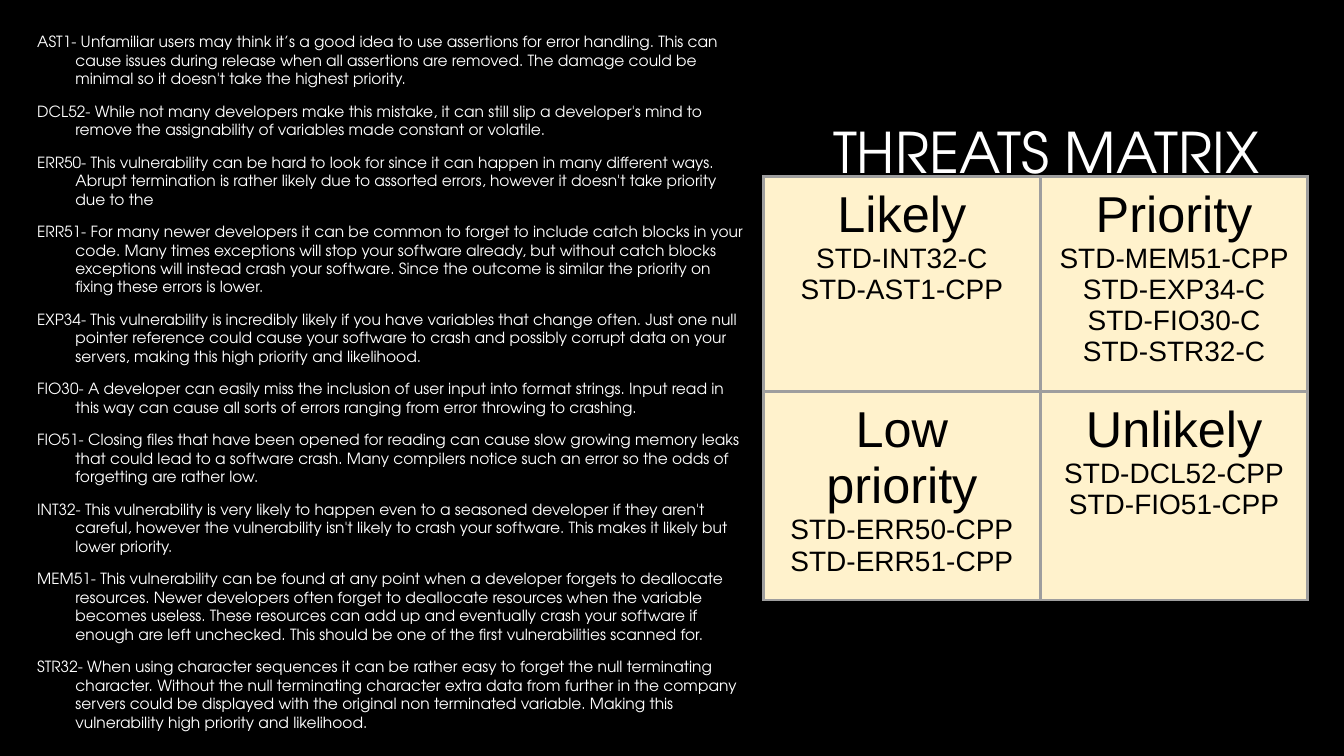
import pptx
import pptx.dml.color
import pptx.enum.text
import pptx.oxml
import pptx.oxml.ns
import pptx.util
from dataclasses import dataclass

Inches = pptx.util.Inches
Pt = pptx.util.Pt
RGB = pptx.dml.color.RGBColor.from_string
ALIGN = pptx.enum.text.PP_ALIGN
ANCHOR = pptx.enum.text.MSO_ANCHOR


@dataclass(frozen=True)
class Theme:
    background: str = "000000"
    light: str = "FFFFFF"
    dark: str = "000000"
    cell: str = "FFF2CC"
    border: str = "9E9E9E"
    border_width: float = 2.25
    slide_font: str = "TeX Gyre Adventor"
    table_font: str = "Arial"
    title: int = 40
    body: int = 11
    heading: int = 36
    code: int = 20


THEME = Theme()

NOTES = [
    "AST1- Unfamiliar users may think it’s a good idea to use assertions for error handling. "
    "This can cause issues during release when all assertions are removed. "
    "The damage could be minimal so it doesn't take the highest priority.",
    "DCL52- While not many developers make this mistake, it can still slip a developer's mind "
    "to remove the assignability of variables made constant or volatile.",
    "ERR50- This vulnerability can be hard to look for since it can happen in many different ways. "
    "Abrupt termination is rather likely due to assorted errors, "
    "however it doesn't take priority due to the",
    "ERR51- For many newer developers it can be common to forget to include catch blocks in your code. "
    "Many times exceptions will stop your software already, but without catch blocks exceptions "
    "will instead crash your software. "
    "Since the outcome is similar the priority on fixing these errors is lower.",
    "EXP34- This vulnerability is incredibly likely if you have variables that change often. "
    "Just one null pointer reference could cause your software to crash and possibly corrupt data "
    "on your servers, making this high priority and likelihood.",
    "FIO30- A developer can easily miss the inclusion of user input into format strings. "
    "Input read in this way can cause all sorts of errors ranging from error throwing to crashing.",
    "FIO51- Closing files that have been opened for reading can cause slow growing memory leaks "
    "that could lead to a software crash. "
    "Many compilers notice such an error so the odds of forgetting are rather low.",
    "INT32- This vulnerability is very likely to happen even to a seasoned developer if they aren't "
    "careful, however the vulnerability isn't likely to crash your software. "
    "This makes it likely but lower priority.",
    "MEM51- This vulnerability can be found at any point when a developer forgets to deallocate "
    "resources. Newer developers often forget to deallocate resources when the variable becomes "
    "useless. These resources can add up and eventually crash your software if enough are left "
    "unchecked. This should be one of the first vulnerabilities scanned for.",
    "STR32- When using character sequences it can be rather easy to forget the null terminating "
    "character. Without the null terminating character extra data from further in the company "
    "servers could be displayed with the original non terminated variable. "
    "Making this vulnerability high priority and likelihood.",
]

MATRIX = [
    [
        ["Likely", "STD-INT32-C", "STD-AST1-CPP"],
        ["Priority", "STD-MEM51-CPP", "STD-EXP34-C", "STD-FIO30-C", "STD-STR32-C"],
    ],
    [
        ["Low priority", "STD-ERR50-CPP", "STD-ERR51-CPP"],
        ["Unlikely", "STD-DCL52-CPP", "STD-FIO51-CPP"],
    ],
]


def add_line(tf, i, text, font, size, color):
    """Write text as paragraph i of the frame and return the paragraph."""
    p = tf.add_paragraph() if i else tf.paragraphs[0]
    p.text = text
    p.font.name, p.font.size = font, Pt(size)
    p.font.color.rgb = RGB(color)
    return p


def set_borders(cell):
    tcPr = cell._tc.get_or_add_tcPr()
    for side in ("lnL", "lnR", "lnT", "lnB"):
        tcPr.append(pptx.oxml.parse_xml(
            f'<a:{side} {pptx.oxml.ns.nsdecls("a")} w="{Pt(THEME.border_width)}">'
            f'<a:solidFill><a:srgbClr val="{THEME.border}"/></a:solidFill></a:{side}>'))


prs = pptx.Presentation()
prs.slide_width, prs.slide_height = Inches(13.33), Inches(7.5)
s = prs.slides.add_slide(prs.slide_layouts[6])
s.background.fill.solid()
s.background.fill.fore_color.rgb = RGB(THEME.background)

# Title
tf = s.shapes.add_textbox(Inches(3.17), Inches(0.84), Inches(9.42), Inches(1.41)).text_frame
tf.word_wrap = True
tf.vertical_anchor = ANCHOR.MIDDLE
p = add_line(tf, 0, "THREATS MATRIX", THEME.slide_font, THEME.title, THEME.light)
p.alignment = ALIGN.RIGHT
p.line_spacing = 0.9

# Vulnerability notes with hanging indents
tf = s.shapes.add_textbox(Inches(0.15), Inches(0.27), Inches(7.36), Inches(6.54)).text_frame
tf.word_wrap = True
for i, note in enumerate(NOTES):
    p = add_line(tf, i, note, THEME.slide_font, THEME.body, THEME.light)
    p.space_before = Pt(10)
    pPr = p._p.get_or_add_pPr()
    pPr.set("marL", str(Inches(0.5)))
    pPr.set("indent", str(Inches(-0.38)))

# Threats matrix
table = s.shapes.add_table(2, 2, Inches(7.57), Inches(1.75), Inches(5.4), Inches(3.86)).table
table.first_row = table.horz_banding = False
for column, width in zip(table.columns, (2.75, 2.65)):
    column.width = Inches(width)
for row, entries in zip(table.rows, MATRIX):
    row.height = Inches(1.93)
    for cell, lines in zip(row.cells, entries):
        set_borders(cell)
        cell.fill.solid()
        cell.fill.fore_color.rgb = RGB(THEME.cell)
        cell.margin_left = cell.margin_right = Inches(0.1)
        cell.margin_top = cell.margin_bottom = Inches(0.1)
        for i, text in enumerate(lines):
            size = THEME.code if i else THEME.heading
            p = add_line(cell.text_frame, i, text, THEME.table_font, size, THEME.dark)
            p.alignment = ALIGN.CENTER

prs.save("out.pptx")
